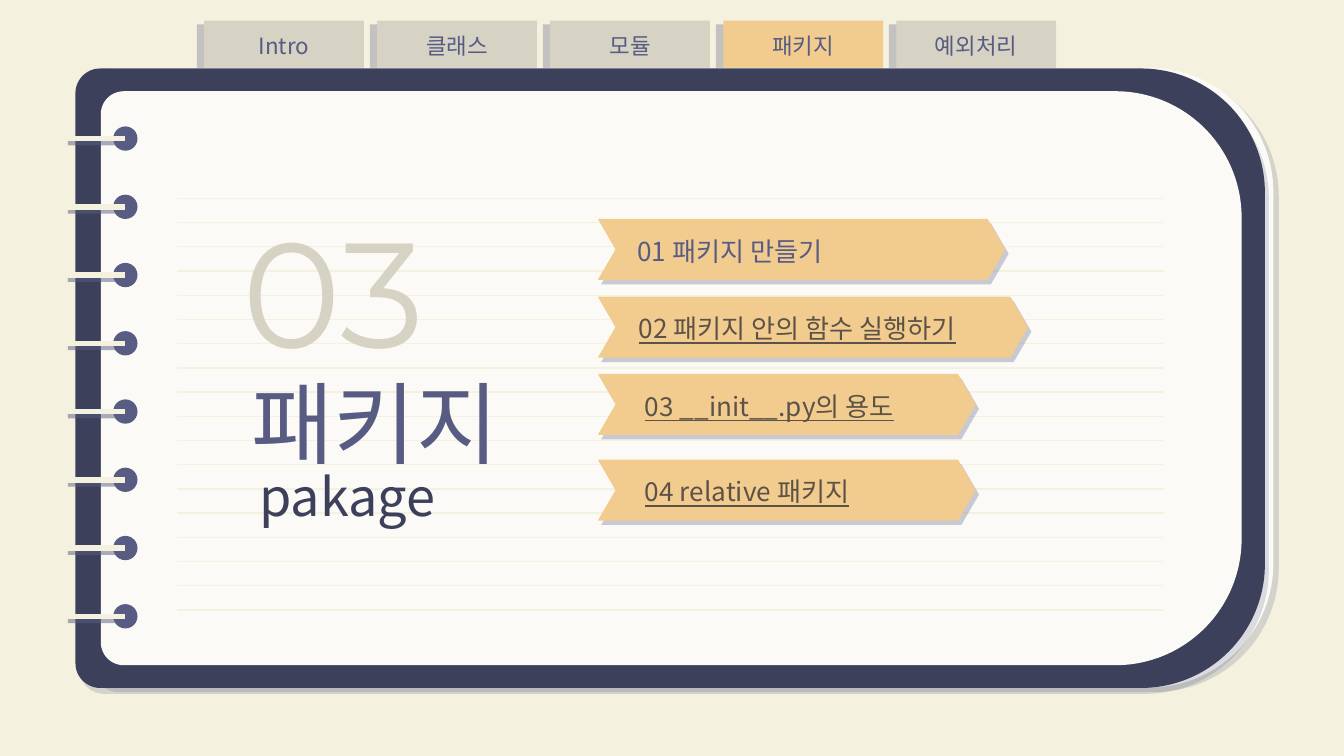
from lxml.etree import SubElement as Sub
from pptx import Presentation
from pptx.dml.color import RGBColor
from pptx.enum.shapes import MSO_CONNECTOR as Link, MSO_SHAPE as Shape
from pptx.enum.text import MSO_ANCHOR as Anchor, PP_ALIGN as Align
from pptx.oxml.ns import qn
from pptx.util import Cm, Pt

CREAM = RGBColor(0xF4, 0xF1, 0xDE)
PAPER = RGBColor(0xFC, 0xFA, 0xF6)
NAVY = RGBColor(0x3D, 0x40, 0x5B)
SLATE = RGBColor(0x58, 0x5C, 0x83)
STONE = RGBColor(0xD6, 0xD2, 0xC4)
AMBER = RGBColor(0xF2, 0xCC, 0x8F)
BROWN = RGBColor(0x5D, 0x52, 0x47)
KOREAN = "Noto Sans CJK KR"
LATIN = "Montserrat"


def add_shade(props, alpha, dist, angle):
    for old in props.findall(qn("a:effectLst")):
        props.remove(old)
    effects = Sub(props, qn("a:effectLst"))
    shade = Sub(effects, qn("a:outerShdw"), blurRad="0", dist=str(Pt(dist)),
                dir=str(angle * 60000), algn="bl", rotWithShape="0")
    color = Sub(shade, qn("a:srgbClr"), val=str(SLATE))
    Sub(color, qn("a:alpha"), val=str(alpha * 1000))


def add_solid(slide, kind, box, fill, shade=None, bends=(), turn=0):
    solid = slide.shapes.add_shape(kind, *map(Cm, box))
    solid.shadow.inherit = False
    solid.fill.solid()
    solid.fill.fore_color.rgb = fill
    solid.line.fill.background()
    solid.rotation = turn
    for i, bend in enumerate(bends):
        solid.adjustments[i] = bend
    if shade:
        add_shade(solid._element.spPr, *shade)


def add_line(slide, left, right, y, width, shade=None):
    line = slide.shapes.add_connector(Link.STRAIGHT, Cm(left), Cm(y), Cm(right), Cm(y))
    line.line.color.rgb = CREAM
    line.line.width = Pt(width)
    props = line._element.spPr
    if shade:
        add_shade(props, *shade)
    else:
        Sub(props, qn("a:effectLst"))


def add_text(slide, box, text, size, color, font=KOREAN, align=Align.LEFT,
             anchor=Anchor.MIDDLE, inset=0.25, under=False):
    frame = slide.shapes.add_textbox(*map(Cm, box)).text_frame
    frame.word_wrap = True
    frame.vertical_anchor = anchor
    frame.margin_left = frame.margin_right = Cm(inset)
    frame.margin_top = frame.margin_bottom = Cm(inset)
    frame.text = text
    para = frame.paragraphs[0]
    para.alignment = align
    for run in para.runs:
        run.font.size = Pt(size)
        run.font.color.rgb = color
        run.font.name = font
        if under:
            run.font.underline = True
        Sub(run._r.get_or_add_rPr(), qn("a:ea"), typeface=font)


def add_tabs(slide, names, active):
    boxes = [(3.86 + 3.27 * i, 0.39, 3.02, 0.94) for i in range(len(names))]
    for name, box in zip(names, boxes):
        fill = AMBER if name == active else STONE
        add_solid(slide, Shape.RECTANGLE, box, fill, (31, 4.5, 152))
    for name, box in zip(names, boxes):
        add_text(slide, box, name, 12, SLATE, align=Align.CENTER)


def add_book(slide):
    layers = [
        ((7.01, -4.06, 11.71, 22.4), PAPER, (20, 3.8, 40), 0.2),
        ((6.81, -4.09, 11.71, 22.48), NAVY, (20, 3.8, 56), 0.2),
        ((7.26, -3.63, 10.85, 21.56), PAPER, None, 0.22),
    ]
    for box, fill, shade, bend in layers:
        add_solid(slide, Shape.ROUND_2_SAME_RECTANGLE, box, fill, shade, (bend, 0.04), 90)
    for i in range(8):
        y = 2.62 + 1.29 * i
        add_solid(slide, Shape.OVAL, (2.14, y - 0.23, 0.46, 0.46), SLATE)
        add_line(slide, 1.27, 2.36, y, 3, (50, 2.2, 80))
    for i in range(18):
        add_line(slide, 3.35, 22, 3.75 + 7.78 * i / 17, 0.75)


def add_topic(slide, top, width, left, text, under=True):
    add_solid(slide, Shape.CHEVRON, (11.3, top, width, 1.15), AMBER, (31, 3, 53), (0.29,))
    add_text(slide, (left, top + 0.13, 7.14, 0.94), text, 14,
             BROWN if under else SLATE, inset=0, under=under)


def main():
    deck = Presentation()
    deck.slide_width, deck.slide_height = Cm(25.4), Cm(14.29)
    slide = deck.slides.add_slide(deck.slide_layouts[6])
    slide.background.fill.solid()
    slide.background.fill.fore_color.rgb = CREAM

    add_tabs(slide, ["Intro", "클래스", "모듈", "패키지", "예외처리"], "패키지")
    add_book(slide)
    add_text(slide, (4.65, 8.53, 7.54, 1.98), "pakage", 28, NAVY, anchor=Anchor.TOP)
    add_text(slide, (4.5, 6.81, 7.54, 2.34), "패키지", 48, SLATE)
    add_topic(slide, 4.14, 7.7, 12.04, "01 패키지 만들기", under=False)
    add_topic(slide, 5.61, 8.13, 12.07, "02 패키지 안의 함수 실행하기")
    add_topic(slide, 7.07, 7.14, 12.19, "03 __init__.py의 용도")
    add_topic(slide, 8.69, 7.14, 12.19, "04 relative 패키지")
    add_text(slide, (4.22, 3.61, 4.17, 3.68), "03", 80, STONE, LATIN, Align.CENTER)
    deck.save("out.pptx")


if __name__ == "__main__":
    main()
